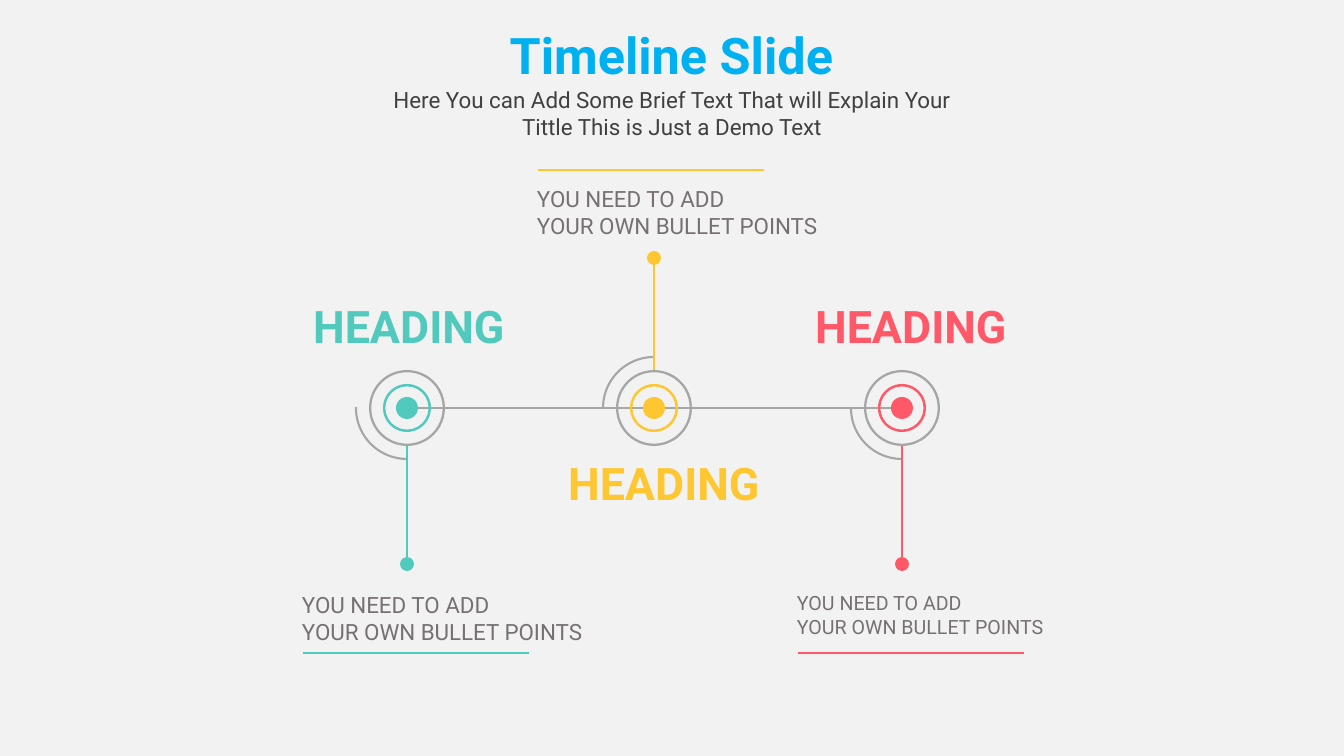
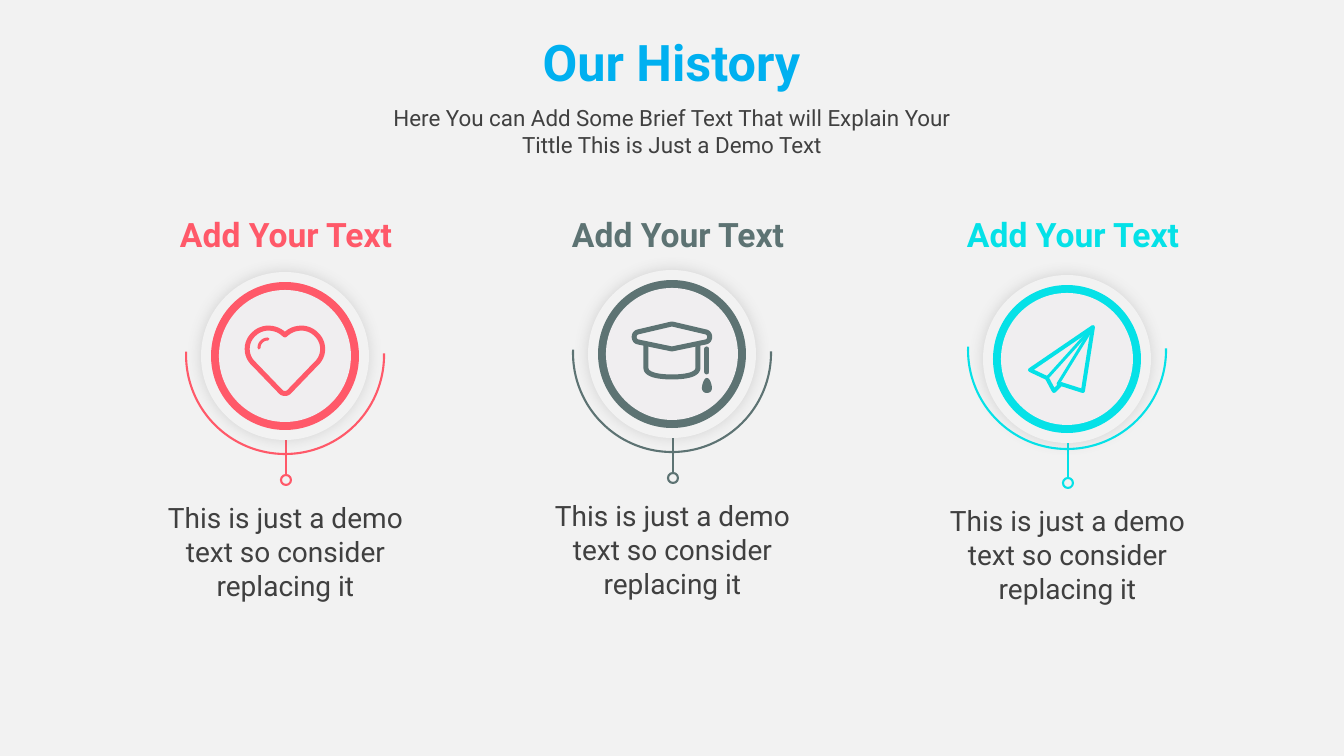
from collections import namedtuple

from lxml.etree import SubElement
from pptx import Presentation
from pptx.dml.color import RGBColor
from pptx.enum.shapes import MSO_CONNECTOR as Connector, MSO_SHAPE as Shape
from pptx.enum.text import MSO_ANCHOR as Anchor, MSO_AUTO_SIZE as AutoSize, PP_ALIGN as Align
from pptx.oxml.ns import qn
from pptx.util import Pt

PX = 914400 / 100.8
PAGE_WIDTH, PAGE_HEIGHT = 1344, 756
FONT = "Roboto"
PAPER = RGBColor(0xF2, 0xF2, 0xF2)
DISC = RGBColor(0xF0, 0xEE, 0xF0)
SKY = RGBColor(0x00, 0xB0, 0xF0)
INK = RGBColor(0x40, 0x40, 0x40)
GREY_TEXT = RGBColor(0x76, 0x71, 0x71)
GREY_LINE = RGBColor(0xA6, 0xA6, 0xA6)
TEAL = RGBColor(0x52, 0xC9, 0xBD)
YELLOW = RGBColor(0xFE, 0xC6, 0x30)
CORAL = RGBColor(0xFF, 0x59, 0x69)
SLATE = RGBColor(0x5D, 0x73, 0x73)
CYAN = RGBColor(0x05, 0xE1, 0xE7)

SUBTITLE = ("Here You can Add Some Brief Text That will Explain Your "
            "Tittle This is Just a Demo Text")
BULLETS = "YOU NEED TO ADD\nYOUR OWN BULLET POINTS"
DEMO_TEXT = "This is just a demo text so consider replacing it"

Box = namedtuple("Box", "left top width height")
# Segments are (x, y) for a line and six numbers for a Bezier curve, measured
# from the middle of the disc; a width of 0 means a filled outline.
Stroke = namedtuple("Stroke", "segments width closed")

HEART = [
    Stroke([(0, -21), (9, -30, 23, -30, 31, -22), (40, -14, 40, 0, 31, 8), (4, 36),
            (2, 38, -2, 38, -4, 36), (-31, 8), (-40, 0, -40, -14, -31, -22),
            (-23, -30, -9, -30, 0, -21)], 5, True),
    Stroke([(-26, -8), (-26, -13, -22, -17, -17, -17)], 3, False),
]
GRADUATION_CAP = [
    Stroke([(0, -30), (34, -22), (39, -21, 39, -13, 34, -12), (0, -5), (-34, -12),
            (-39, -13, -39, -21, -34, -22)], 5, True),
    Stroke([(-26, -10), (-26, 14), (-26, 20, -16, 23, 0, 23),
            (16, 23, 26, 20, 26, 14), (26, -10)], 5, False),
    Stroke([(35, -5), (35, 18)], 5, False),
    Stroke([(35, 24), (32, 24, 30, 31, 30, 34), (30, 37, 32, 39, 35, 39),
            (38, 39, 40, 37, 40, 34), (40, 31, 38, 24, 35, 24)], 0, True),
]
PAPER_PLANE = [
    Stroke([(26, -32), (-37, 11), (-20, 19), (-13, 32), (-6, 25), (16, 32)], 4, True),
    Stroke([(-20, 19), (26, -32)], 3, False),
    Stroke([(-9, 25), (26, -32)], 3, False),
]


def emu(pixels):
    return round(pixels * PX)


def place(box):
    return [emu(length) for length in box]


def centred(x, y, size):
    return Box(x - size // 2, y - size // 2, size, size)


def set_text(shape, text, **font):
    """Write one paragraph per line of text in a single format."""
    frame = shape.text_frame
    frame.text = text
    settings = {"word_wrap": True, "auto_size": AutoSize.SHAPE_TO_FIT_TEXT,
                "vertical_anchor": Anchor.TOP}
    for name, value in settings.items():
        setattr(frame, name, value)
    align = font.pop("align", Align.CENTER)
    color = font.pop("color")
    for para in frame.paragraphs:
        para.alignment = align
        for span in para.runs:
            for name, value in {"name": FONT, **font}.items():
                setattr(span.font, name, value)
            span.font.color.rgb = color


def add_text(page, box, text, **font):
    set_text(page.shapes.add_textbox(*place(box)), text, **font)


def paint(shape, fill=None, line=None, width=Pt(1.5)):
    shape.shadow.inherit = False
    if fill is None:
        shape.fill.background()
    else:
        shape.fill.solid()
        shape.fill.fore_color.rgb = fill
    if line is None:
        shape.line.fill.background()
    else:
        shape.line.color.rgb = line
        shape.line.width = width


def add_figure(page, kind, box, fill=None, line=None, adjust=()):
    shape = page.shapes.add_shape(kind, *place(box))
    paint(shape, fill, line)
    for index, value in enumerate(adjust):
        shape.adjustments[index] = value
    return shape


def add_arc(page, box, start, end, color, rotation=0):
    """Draw an arc clockwise between two angles in degrees."""
    arc = add_figure(page, Shape.ARC, box, line=color, adjust=(start * 0.6, end * 0.6))
    arc.rotation = rotation


def add_line(page, x1, y1, x2, y2, color):
    line = page.shapes.add_connector(Connector.STRAIGHT, *place((x1, y1, x2, y2)))
    line.line.color.rgb = color
    line.line.width = Pt(1.5)
    SubElement(line._element.spPr, qn("a:effectLst"))


def add_soft_shadow(shape):
    effects = shape._element.spPr.find(qn("a:effectLst"))
    shadow = SubElement(effects, qn("a:outerShdw"), blurRad=str(Pt(10)), dist="0",
                        dir="0", algn="ctr", rotWithShape="0")
    color = SubElement(shadow, qn("a:srgbClr"), val="595959")
    SubElement(color, qn("a:alpha"), val="20000")


def flatten(segments, steps=12):
    """Turn lines and Bezier curves into a list of points."""
    points = []
    for segment in segments:
        if len(segment) == 2:
            points.append(segment)
            continue
        corners = [points[-1], segment[:2], segment[2:4], segment[4:]]
        for step in range(1, steps + 1):
            t = step / steps
            weights = ((1 - t) ** 3, 3 * t * (1 - t) ** 2, 3 * t * t * (1 - t), t ** 3)
            points.append(tuple(sum(w * corner[axis] for w, corner in zip(weights, corners))
                                for axis in (0, 1)))
    return points


def add_icon(page, x, y, strokes, color):
    for stroke in strokes:
        points = [place(point) for point in flatten(stroke.segments)]
        builder = page.shapes.build_freeform(*points[0])
        builder.add_line_segments(points[1:], close=stroke.closed)
        shape = builder.convert_to_shape(emu(x), emu(y))
        if stroke.width:
            paint(shape, line=color, width=emu(stroke.width))
            outline = shape.line._get_or_add_ln()
            outline.set("cap", "rnd")
            SubElement(outline, qn("a:round"))
        else:
            paint(shape, fill=color)


def add_page(deck, title, title_top, subtitle_top):
    page = deck.slides.add_slide(deck.slide_layouts[5])
    heading = page.shapes.title
    heading.left, heading.top, heading.width, heading.height = place(
        Box(405, title_top, 533, 72))
    set_text(heading, title, size=Pt(36), bold=True, color=SKY)
    add_text(page, Box(369, subtitle_top, 606, 64), SUBTITLE, size=Pt(16), color=INK)
    return page


def add_milestone(page, box, color, reach, rotation):
    """Draw a target filling the box, with a stem reaching up (negative) or down."""
    x, y = box.left + box.width // 2, box.top + box.height // 2
    add_arc(page, box, 90, 181, GREY_LINE, rotation)
    add_figure(page, Shape.OVAL, centred(x, y, 22), color)
    add_figure(page, Shape.DONUT, centred(x, y, 48), color, adjust=(0.05,))
    add_figure(page, Shape.DONUT, centred(x, y, 76), GREY_LINE, adjust=(0.03,))
    add_line(page, x, y + (38 if reach > 0 else -38), x, y + reach, color)
    add_figure(page, Shape.OVAL, centred(x, y + reach, 14), color)


def add_bullets(page, box, color, size, rule_offset):
    add_text(page, box, BULLETS, size=size, color=GREY_TEXT, align=Align.LEFT)
    left, y = box.left + 11, box.top + rule_offset
    add_line(page, left, y, left + 226, y, color)


def add_timeline(deck):
    page = add_page(deck, "Timeline Slide", 19, 81)
    axis, centres = 408, (407, 654, 902)
    for start, end in zip(centres, centres[1:]):
        add_line(page, start + 6, axis, end - 11, axis, GREY_LINE)
    # colour, reach, arc rotation, heading left and top, bullets left and top, size, rule
    milestones = [
        (TEAL, 156, 0, 284, 294, 292, 586, 16, 67),
        (YELLOW, -150, 90, 539, 451, 527, 180, 16, -10),
        (CORAL, 156, 0, 786, 294, 787, 586, 14, 67),
    ]
    for x, milestone in zip(centres, milestones):
        color, reach, rotation, head_left, head_top, left, top, size, rule = milestone
        add_milestone(page, centred(x, axis, 102), color, reach, rotation)
        add_text(page, Box(head_left, head_top, 250, 64), "HEADING",
                 size=Pt(32), bold=True, color=color)
        add_bullets(page, Box(left, top, 353, 64), color, Pt(size), rule)


def add_history_column(page, box, color, icon, heading_shift, arc_shift):
    """Draw a badge filling the box, its heading above and its text below."""
    x, y = box.left + box.width // 2, box.top + box.height // 2
    add_text(page, Box(x - 128 + heading_shift, 209, 256, 50), "Add Your Text",
             size=Pt(24), bold=True, color=color)
    add_line(page, x + 1, y + 84, x + 1, y + 119, color)
    add_soft_shadow(add_figure(page, Shape.OVAL, box, PAPER))
    add_figure(page, Shape.OVAL, centred(x, y, 148), color)
    add_figure(page, Shape.OVAL, centred(x, y, 132), DISC)
    add_arc(page, centred(x, y + arc_shift, 198), 224, 47, color, 135)
    add_figure(page, Shape.OVAL, centred(x + 1, y + 124, 10), line=color)
    add_icon(page, x, y, icon, color)
    add_text(page, Box(x - 127, y + 140, 255, 112), DEMO_TEXT, size=Pt(20), color=INK)


def add_history(deck):
    page = add_page(deck, "Our History", 26, 99)
    columns = [
        (285, 356, CORAL, HEART, 1, -1),
        (672, 354, SLATE, GRADUATION_CAP, 6, -1),
        (1067, 359, CYAN, PAPER_PLANE, 6, -9),
    ]
    for x, y, *style in columns:
        add_history_column(page, centred(x, y, 168), *style)


def main():
    deck = Presentation()
    deck.slide_width, deck.slide_height = place((PAGE_WIDTH, PAGE_HEIGHT))
    backdrop = deck.slide_master.background.fill
    backdrop.solid()
    backdrop.fore_color.rgb = PAPER
    add_timeline(deck)
    add_history(deck)
    deck.save("out.pptx")


if __name__ == "__main__":
    main()
